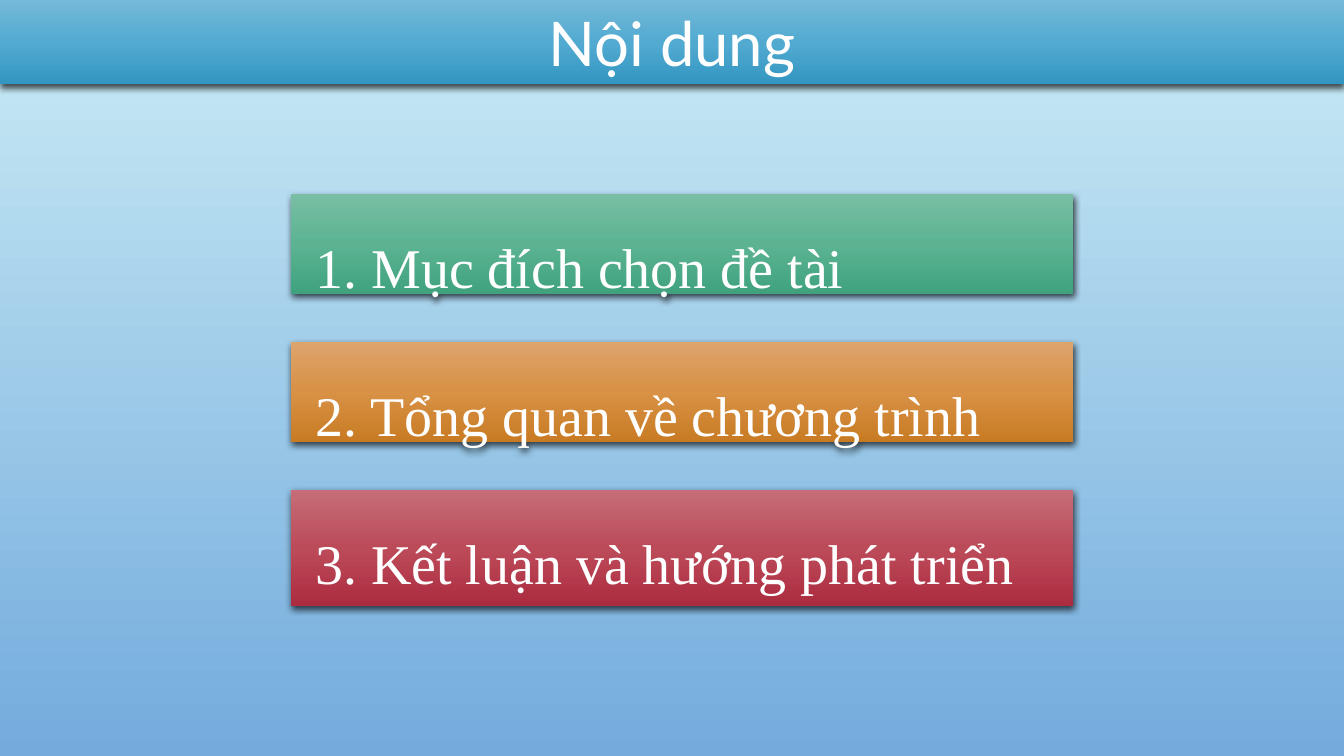
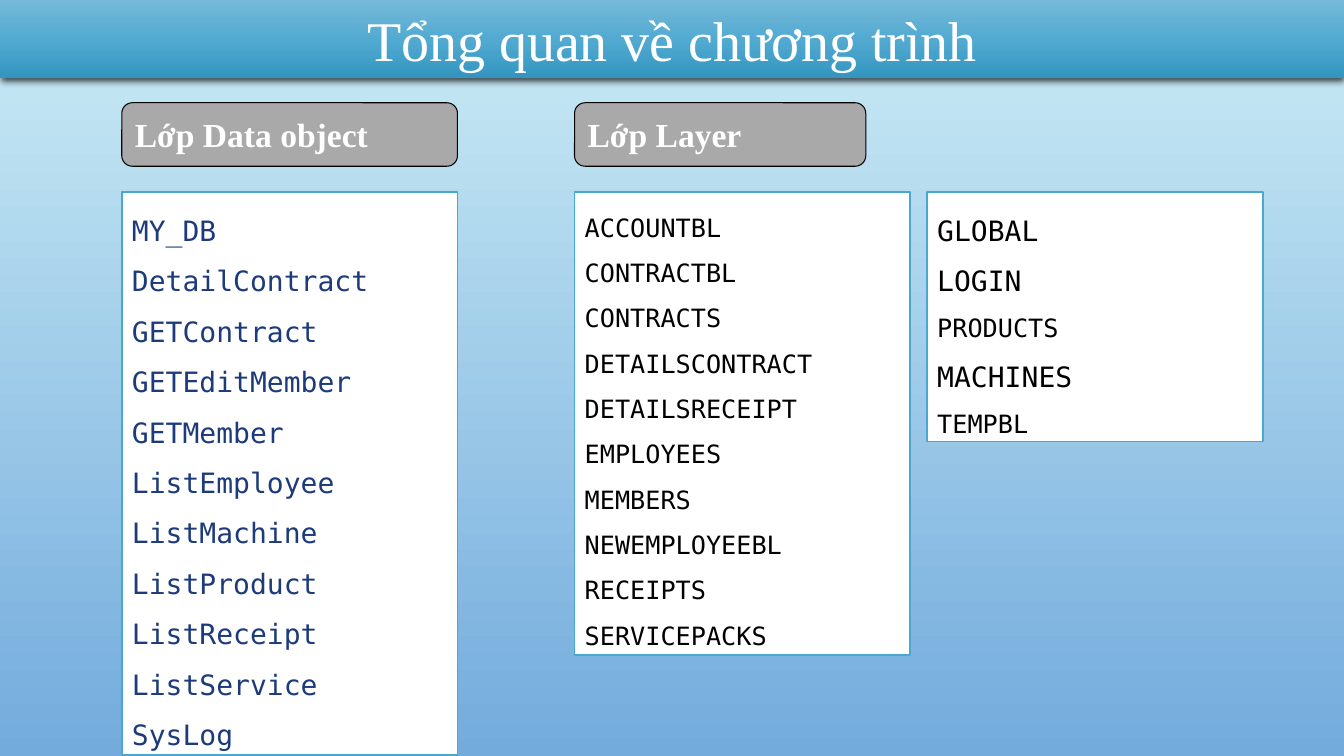
import copy
from dataclasses import dataclass

import lxml.etree
import pptx
import pptx.dml.color
import pptx.enum.shapes
import pptx.enum.text
import pptx.oxml.ns
import pptx.util

Cm = pptx.util.Cm
Pt = pptx.util.Pt
ALIGN = pptx.enum.text.PP_ALIGN
ANCHOR = pptx.enum.text.MSO_ANCHOR
SHAPE = pptx.enum.shapes.MSO_SHAPE
qn = pptx.oxml.ns.qn


@dataclass(frozen=True)
class Theme:
    # Colours
    background: tuple = ("CBECF5", "73ABDD")
    band: tuple = ("76B9D9", "52AAD1", "3396C0")
    green: tuple = ("79BEA4", "5BB392", "40A27E")
    orange: tuple = ("DEA46D", "D89145", "C87B23")
    red: tuple = ("C66D77", "BC4B5A", "AC2C3F")
    white: str = "FFFFFF"
    black: str = "000000"
    navy: str = "1D3B7B"
    grey: str = "A9A9A9"
    frame: str = "48A8D0"
    # Fonts and type sizes
    sans: str = "Lato"
    serif: str = "Times New Roman"
    mono: str = "DejaVu Sans Mono"
    title_size: int = 44
    item_size: int = 40
    label_size: int = 24
    list_size: int = 20
    small_size: int = 18


THEME = Theme()


def rgb(value):
    return pptx.dml.color.RGBColor.from_string(value)


def set_format(target, values):
    for name, value in values.items():
        setattr(target, name, value)


class Deck:
    """Holds the theme, the presentation and the current slide."""

    def __init__(self, theme):
        self.theme = theme
        self.presentation = pptx.Presentation()
        set_format(self.presentation,
                   {"slide_width": Cm(33.87), "slide_height": Cm(19.05)})
        master = self.presentation.slide_master
        self.gradient(master.background.fill, master.element, theme.background)
        self.slide = None

    # Slide and title band
    def new_slide(self, layout, title, height, font, size):
        layouts = self.presentation.slide_layouts
        self.slide = self.presentation.slides.add_slide(layouts.get_by_name(layout))
        band = self.slide.shapes.title
        self.place(band, 0, 0, 33.87, height)
        self.raised(band, self.theme.band)
        self.fill_text(band, [title], font, size, self.theme.white,
                       paragraph_format={"alignment": ALIGN.CENTER})

    # Shared formatting
    def place(self, shape, left, top, width, height):
        set_format(shape, {"left": Cm(left), "top": Cm(top),
                           "width": Cm(width), "height": Cm(height)})

    def gradient(self, fill, element, colors):
        fill.gradient()
        fill.gradient_angle = 270
        stops = element.xpath(".//a:gsLst")[0]
        while len(stops) < len(colors):
            stops.append(copy.deepcopy(stops[0]))
        for index, (stop, color) in enumerate(zip(fill.gradient_stops, colors)):
            stop.color.rgb = rgb(color)
            stop.position = index / (len(colors) - 1)

    def raised(self, shape, colors):
        self.gradient(shape.fill, shape.element, colors)
        shape.line.fill.background()
        shape.shadow.inherit = False
        effects = shape.element.spPr.find(qn("a:effectLst"))
        shadow = lxml.etree.SubElement(
            effects, qn("a:outerShdw"), blurRad=str(Pt(5)), dist=str(Pt(2)),
            dir="5400000", algn="ctr", rotWithShape="0")
        color = lxml.etree.SubElement(shadow, qn("a:srgbClr"), val=self.theme.black)
        lxml.etree.SubElement(color, qn("a:alpha"), val="69000")

    def flat(self, shape, fill, line, width):
        shape.shadow.inherit = False
        shape.fill.solid()
        shape.fill.fore_color.rgb = rgb(fill)
        shape.line.color.rgb = rgb(line)
        shape.line.width = Pt(width)

    def fill_text(self, shape, lines, font, size, color, bold=False, small=(),
                  frame_format=None, paragraph_format=None):
        frame = shape.text_frame
        set_format(frame, {"word_wrap": True, "vertical_anchor": ANCHOR.TOP,
                           "auto_size": pptx.enum.text.MSO_AUTO_SIZE.NONE,
                           **(frame_format or {})})
        for index, text in enumerate(lines):
            paragraph = frame.add_paragraph() if index else frame.paragraphs[0]
            set_format(paragraph, {"alignment": ALIGN.LEFT, "space_before": Pt(0),
                                   **(paragraph_format or {})})
            run = paragraph.add_run()
            run.text = text
            run_size = self.theme.small_size if text in small else size
            set_format(run.font, {"name": font, "size": Pt(run_size), "bold": bold})
            run.font.color.rgb = rgb(color)

    # Elements
    def add_shape(self, kind, box):
        shape = self.slide.shapes.add_shape(kind, 0, 0, 0, 0)
        self.place(shape, *box)
        return shape

    def agenda_item(self, text, colors, box):
        shape = self.add_shape(SHAPE.RECTANGLE, box)
        self.raised(shape, colors)
        self.fill_text(shape, [text], self.theme.serif, self.theme.item_size,
                       self.theme.white, frame_format={"margin_left": Cm(0.61)},
                       paragraph_format={"line_spacing": 1.5})

    def label(self, text, box):
        shape = self.add_shape(SHAPE.ROUNDED_RECTANGLE, box)
        self.flat(shape, self.theme.grey, self.theme.black, 0.75)
        self.fill_text(shape, [text], self.theme.serif, self.theme.label_size,
                       self.theme.white, bold=True,
                       frame_format={"vertical_anchor": ANCHOR.MIDDLE})

    def class_list(self, names, box, size, color, small=(), placeholder=None):
        if placeholder is None:
            shape = self.add_shape(SHAPE.RECTANGLE, box)
        else:
            shape = self.slide.placeholders[placeholder]
            self.place(shape, *box)
        self.flat(shape, self.theme.white, self.theme.frame, 1.25)
        self.fill_text(shape, names, self.theme.mono, size, color, small=small,
                       paragraph_format={"line_spacing": 1.5})
        for paragraph in shape.text_frame.paragraphs:
            properties = paragraph._p.get_or_add_pPr()
            properties.set("marL", "0")
            properties.set("indent", "0")
            lxml.etree.SubElement(properties, qn("a:buNone"))


def agenda(deck):
    theme = deck.theme
    deck.new_slide("Title Only", "Nội dung", 2.13, theme.sans, theme.title_size)
    items = [
        ("1. Mục đích chọn đề tài", theme.green, 2.51),
        ("2. Tổng quan về chương trình", theme.orange, 2.51),
        ("3. Kết luận và hướng phát triển", theme.red, 2.92),
    ]
    for row, (text, colors, height) in enumerate(items):
        deck.agenda_item(text, colors, (7.34, 4.9 + 3.72 * row, 19.71, height))


def overview(deck):
    theme = deck.theme
    deck.new_slide("Two Content", "Tổng quan về chương trình", 1.96,
                   theme.serif, theme.item_size)
    data_left, layer_left, extra_left = 3.07, 14.48, 23.37
    list_top, list_width = 4.83, 8.46

    # Class lists
    deck.class_list(
        ["MY_DB", "DetailContract", "GETContract", "GETEditMember", "GETMember",
         "ListEmployee", "ListMachine", "ListProduct", "ListReceipt",
         "ListService", "SysLog"],
        (data_left, list_top, list_width, 14.2),
        theme.list_size, theme.navy, placeholder=1)
    deck.class_list(
        ["ACCOUNTBL", "CONTRACTBL", "CONTRACTS", "DETAILSCONTRACT",
         "DETAILSRECEIPT", "EMPLOYEES", "MEMBERS", "NEWEMPLOYEEBL",
         "RECEIPTS", "SERVICEPACKS"],
        (layer_left, list_top, list_width, 11.68),
        theme.small_size, theme.black, placeholder=2)
    deck.class_list(
        ["GLOBAL", "LOGIN", "PRODUCTS", "MACHINES", "TEMPBL"],
        (extra_left, list_top, list_width, 6.3),
        theme.list_size, theme.black, small=("PRODUCTS", "TEMPBL"))

    # Column labels
    deck.label("Lớp Layer", (layer_left, 2.59, 7.34, 1.6))
    deck.label("Lớp Data object", (data_left, 2.59, list_width, 1.6))


def main():
    deck = Deck(THEME)
    agenda(deck)
    overview(deck)
    deck.presentation.save("out.pptx")


if __name__ == "__main__":
    main()
